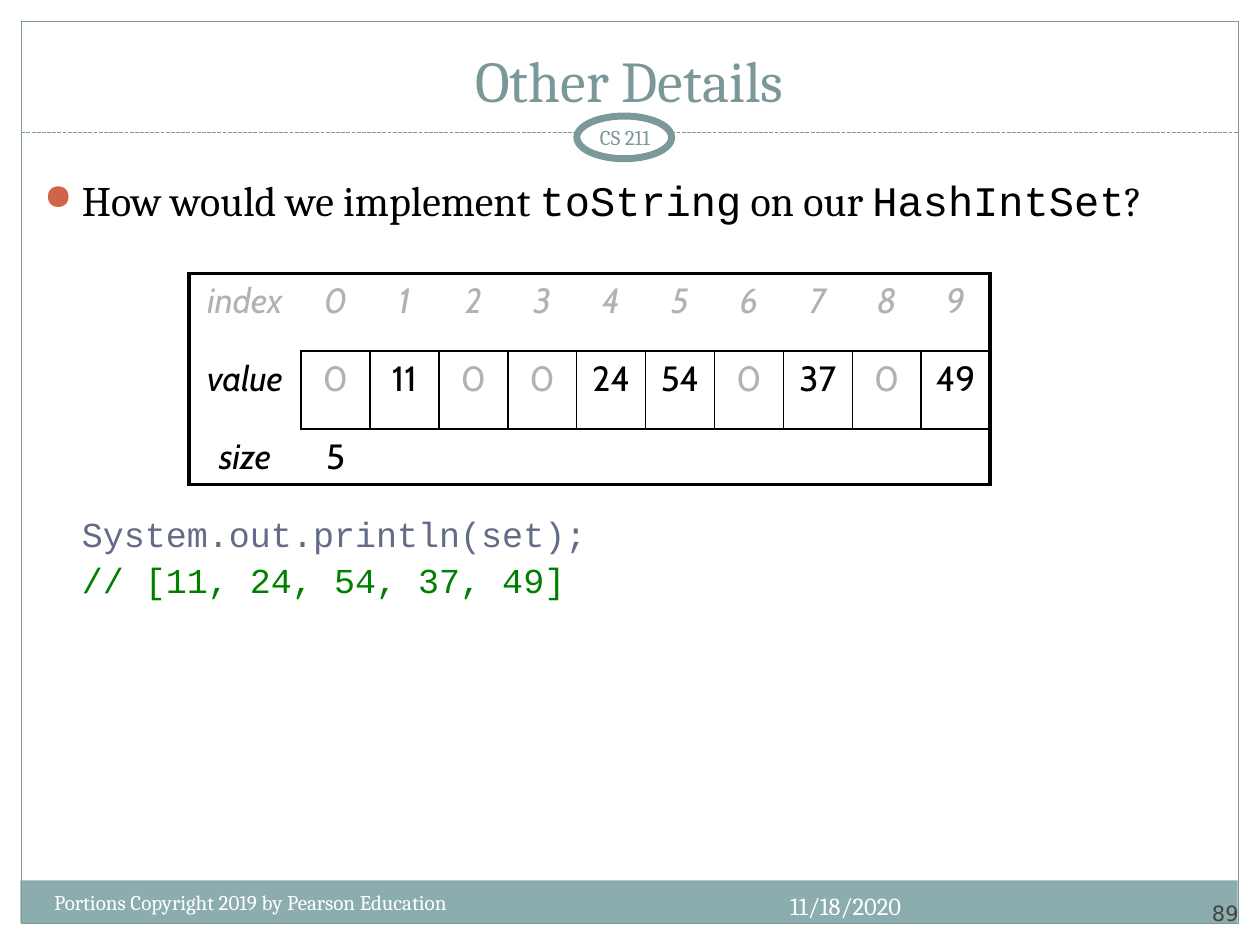
from lxml.etree import SubElement
from pptx import Presentation
from pptx.dml.color import RGBColor
from pptx.enum.dml import MSO_LINE
from pptx.enum.shapes import MSO_CONNECTOR, MSO_SHAPE
from pptx.enum.text import MSO_ANCHOR, PP_ALIGN
from pptx.oxml import parse_xml
from pptx.oxml.ns import nsdecls, qn
from pptx.util import Cm, Pt

COLORS = {
    "teal": "7C999A", "title": "7B9899", "band": "8CADAE", "white": "FFFFFF",
    "black": "000000", "faded": "B2B2B2", "code": "646B86", "comment": "008000",
    "bullet": "D16349", "number": "424242",
}
SERIF, MONO, SANS = "Cambria", "Courier New", "Cabin"

# Each run: text, font, size, color
TITLE = [[("Other Details", SERIF, 33, "title")]]
QUESTION = [[
    ("How would we implement ", SERIF, 24, "black"),
    ("toString", MONO, 24, "black"),
    (" on our ", SERIF, 24, "black"),
    ("HashIntSet", MONO, 24, "black"),
    ("?", SERIF, 24, "black"),
]]
CODE = [
    [("System.out.println(set);", MONO, 20, "code")],
    [("// [11, 24, 54, 37, 49]", MONO, 20, "comment")],
]
COURSE = [[("CS 211", SERIF, 12, "teal")]]
COPYRIGHT = [[("Portions Copyright 2019 by Pearson Education", SERIF, 12, "white")]]
DATE = [[("11/18/2020", SERIF, 14, "white")]]
PAGE_NUMBER = [[("89", "DejaVu Sans", 12, "number")]]

VALUES = [0, 11, 0, 0, 24, 54, 0, 37, 0, 49]
SIZE = sum(value != 0 for value in VALUES)
HASH_ROWS = [
    ["index", *range(len(VALUES))],
    ["value", *VALUES],
    ["size", SIZE],
]
ROW_HEIGHTS = [1.57, 1.57, 1.12]
LABEL_WIDTH, SLOT_WIDTH = 2.26, 1.39
THICK, THIN = 2.25, 1


def color(name):
    return RGBColor.from_string(COLORS[name])


def add_runs(para, runs):
    for text, font, size, color_name in runs:
        span = para.add_run()
        span.text = text
        span.font.name = font
        span.font.size = Pt(size)
        span.font.color.rgb = color(color_name)


def add_text(page, place, paragraphs, align=PP_ALIGN.LEFT, anchor=MSO_ANCHOR.TOP,
             inset=(0.25, 0.13), gap=0):
    box = page.shapes.add_textbox(*map(Cm, place))
    frame = box.text_frame
    frame.word_wrap = True
    frame.vertical_anchor = anchor
    frame.margin_left = frame.margin_right = Cm(inset[0])
    frame.margin_top = frame.margin_bottom = Cm(inset[1])
    for index, runs in enumerate(paragraphs):
        para = frame.add_paragraph() if index else frame.paragraphs[0]
        para.alignment = align
        if index:
            para.space_before = Pt(gap)
        add_runs(para, runs)
    return box


def add_bullet(para):
    props = para._p.get_or_add_pPr()
    props.set("marL", str(Cm(0.76)))
    props.set("indent", str(Cm(-0.76)))
    bullet_color = SubElement(props, qn("a:buClr"))
    SubElement(bullet_color, qn("a:srgbClr"), val=COLORS["bullet"])
    SubElement(props, qn("a:buSzPct"), val="85000")
    SubElement(props, qn("a:buChar"), char="●")


def add_plain_shape(page, kind, place, fill=None, line=None, weight=0.75):
    shape = page.shapes.add_shape(kind, *map(Cm, place))
    shape.shadow.inherit = False
    if fill:
        shape.fill.solid()
        shape.fill.fore_color.rgb = color(fill)
    else:
        shape.fill.background()
    if line:
        shape.line.color.rgb = color(line)
        shape.line.width = Pt(weight)
    else:
        shape.line.fill.background()


def add_dashed_rule(page, left, right, top):
    rule = page.shapes.add_connector(
        MSO_CONNECTOR.STRAIGHT, Cm(left), Cm(top), Cm(right), Cm(top))
    rule.line.color.rgb = color("teal")
    rule.line.width = Pt(0.75)
    rule.line.dash_style = MSO_LINE.SQUARE_DOT
    SubElement(rule._element.spPr, qn("a:effectLst"))


def edge_weights(row, col):
    """Left, right, top and bottom: thick outer frame, thin boxes round the values."""
    slot, value_row = col > 0, row == 1
    return {
        "L": THICK if col == 0 else THIN * value_row,
        "R": THICK if col == len(VALUES) else THIN * value_row,
        "T": THICK if row == 0 else THIN * slot,
        "B": THICK if row == 2 else THIN * slot,
    }


def set_borders(cell, weights):
    props = cell._tc.get_or_add_tcPr()
    for position, (side, weight) in enumerate(weights.items()):
        paint = (f'<a:solidFill><a:srgbClr val="{COLORS["black"]}"/></a:solidFill>'
                 if weight else "<a:noFill/>")
        props.insert(position, parse_xml(
            f'<a:ln{side} {nsdecls("a")} w="{Pt(weight)}">{paint}</a:ln{side}>'))


def add_hash_table(page, left, top):
    columns = len(VALUES) + 1
    width = LABEL_WIDTH + SLOT_WIDTH * len(VALUES)
    table = page.shapes.add_table(len(HASH_ROWS), columns, Cm(left), Cm(top),
                                  Cm(width), Cm(sum(ROW_HEIGHTS))).table
    table.first_row = table.horz_banding = False
    for col in range(columns):
        table.columns[col].width = Cm(SLOT_WIDTH if col else LABEL_WIDTH)
    for row, entries in enumerate(HASH_ROWS):
        table.rows[row].height = Cm(ROW_HEIGHTS[row])
        for col in range(columns):
            cell = table.cell(row, col)
            cell.fill.background()
            set_borders(cell, edge_weights(row, col))
            if col < len(entries):
                entry = entries[col]
                faded = row == 0 or entry == 0
                para = cell.text_frame.paragraphs[0]
                para.alignment = PP_ALIGN.CENTER
                add_runs(para, [(str(entry), SANS, 20, "faded" if faded else "black")])
                para.runs[0].font.italic = row == 0 or col == 0


def main():
    deck = Presentation()
    deck.slide_width, deck.slide_height = Cm(25.4), Cm(19.05)
    page = deck.slides.add_slide(deck.slide_layouts[6])

    add_plain_shape(page, MSO_SHAPE.RECTANGLE, (0.41, 17.75, 24.54, 0.86), fill="band")
    add_plain_shape(page, MSO_SHAPE.RECTANGLE, (0.43, 0.43, 24.54, 18.19), line="teal")
    add_dashed_rule(page, 0.43, 24.97, 2.67)
    add_plain_shape(page, MSO_SHAPE.OVAL, (11.63, 2.34, 1.91, 0.86),
                    fill="white", line="teal", weight=4)

    add_text(page, (22.86, 17.65, 2.11, 1.02), PAGE_NUMBER, PP_ALIGN.RIGHT,
             MSO_ANCHOR.BOTTOM, inset=(0, 0))
    add_text(page, (0.84, 0.64, 23.7, 1.8), TITLE, PP_ALIGN.CENTER, MSO_ANCHOR.BOTTOM)
    question = add_text(page, (0.64, 3.38, 24.13, 1.5), QUESTION)
    add_bullet(question.text_frame.paragraphs[0])
    add_hash_table(page, 3.81, 5.51)
    add_text(page, (1.4, 10.21, 23.37, 2), CODE, gap=2)
    add_text(page, (14.2, 17.83, 4.22, 1.02), DATE, PP_ALIGN.RIGHT)
    add_text(page, (0.84, 17.81, 10.36, 1.02), COPYRIGHT)
    add_text(page, (11.43, 2.34, 2.34, 0.84), COURSE, PP_ALIGN.CENTER,
             MSO_ANCHOR.MIDDLE, inset=(0.13, 0.13))
    deck.save("out.pptx")


if __name__ == "__main__":
    main()
